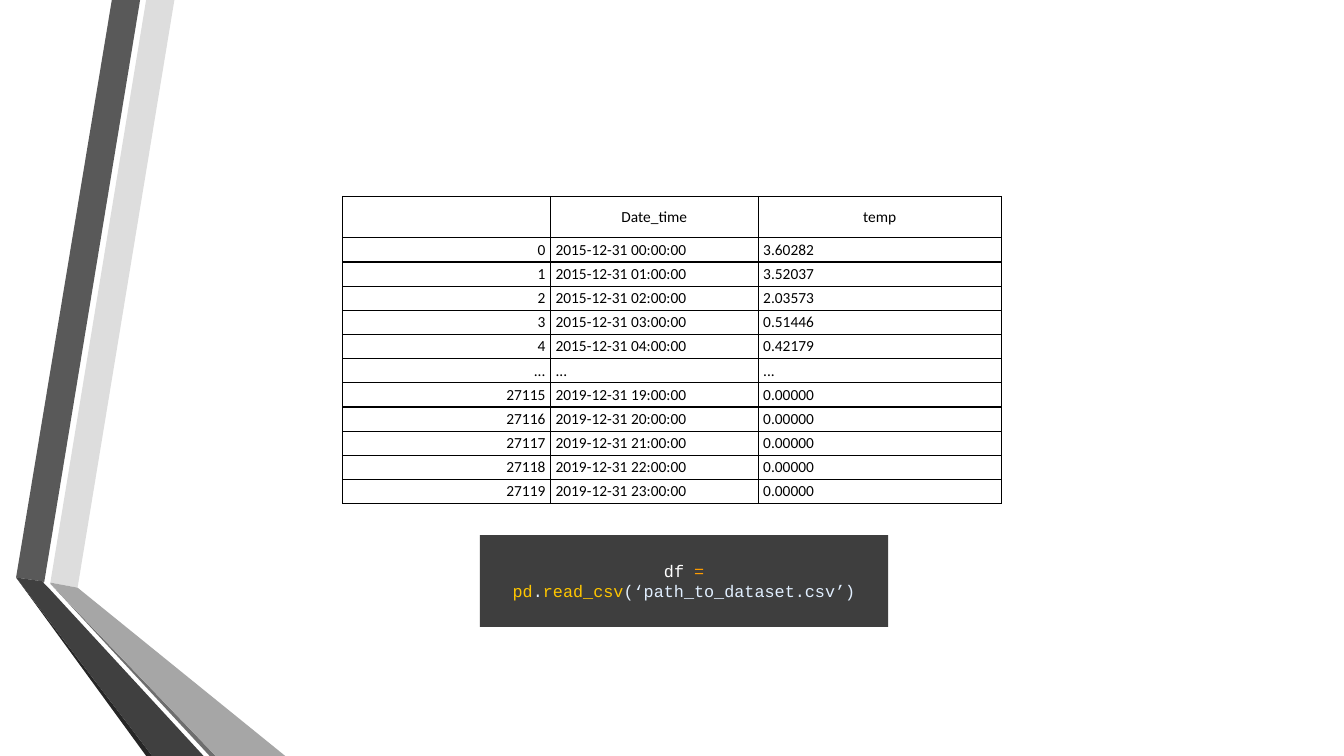
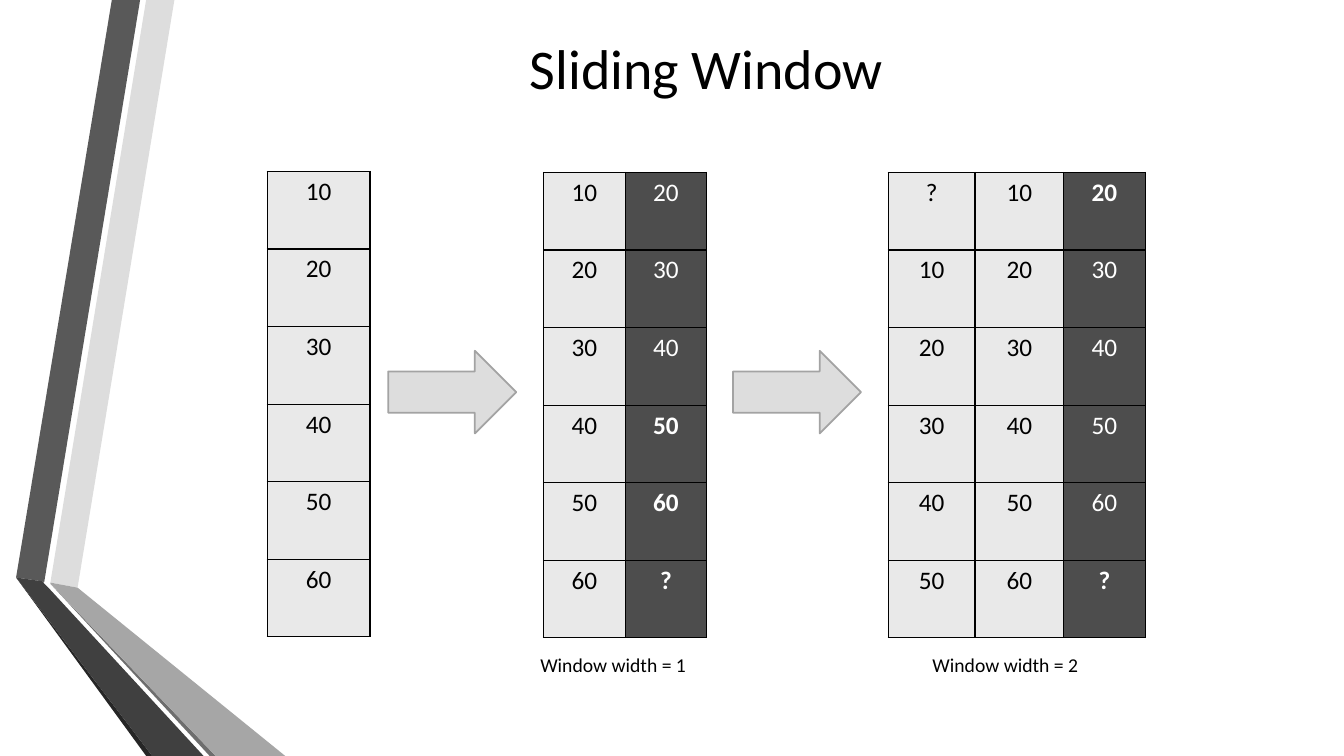
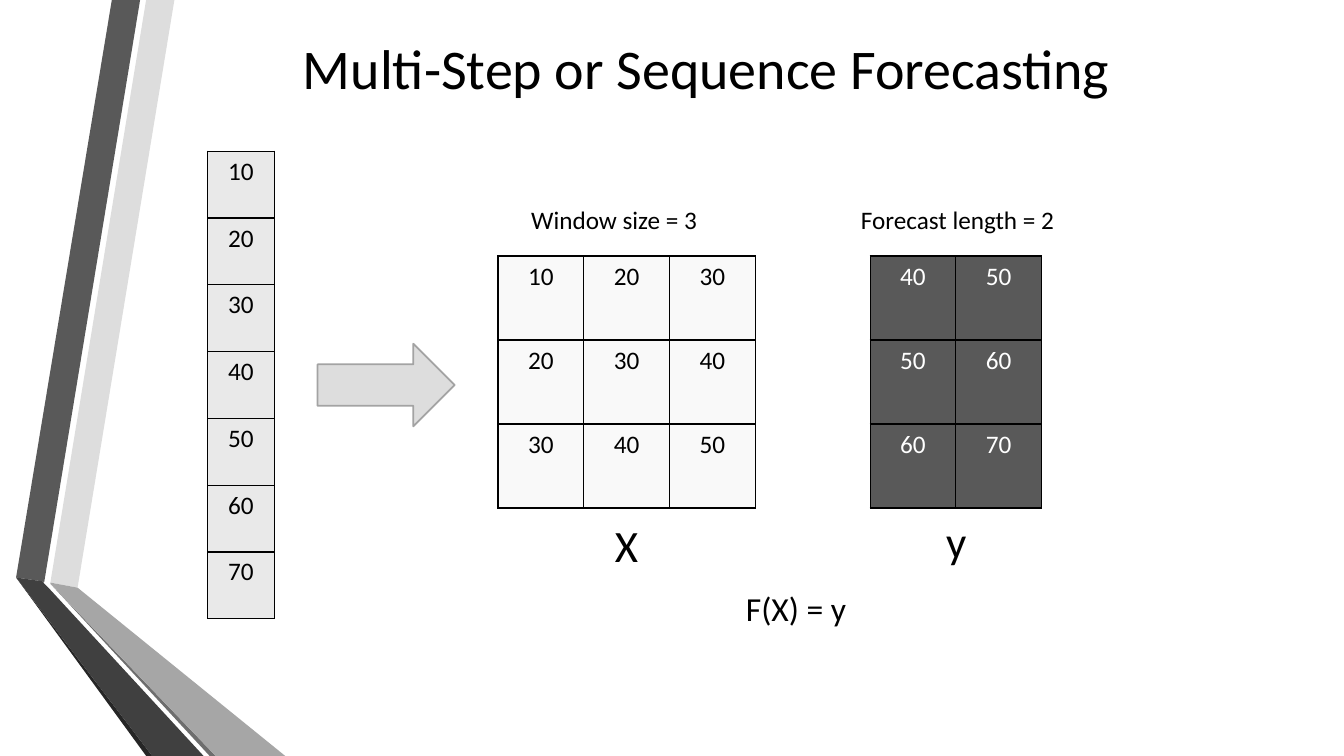
from lxml import etree
from pptx import Presentation, util as u
from pptx.dml import color
from pptx.enum import shapes, text
from pptx.oxml import ns

HUES = {
    "black": "000000", "white": "FFFFFF", "pale": "E9E9E9", "mist": "F9F9F9",
    "deep": "4D4D4D", "slate": "595959", "light": "DDDDDD", "edge": "A3A3A3",
    "ink": "262626", "shade": "6E6E6E", "ash": "A6A6A6", "coal": "404040",
    "panel": "3E3E3E", "orange": "FF9D00", "gold": "FFC600", "ice": "E1EFFF",
}
BANDS = [
    ("light", [(50, 578), (77, 583), (173, 0), (145, 0)]),
    ("slate", [(139, 0), (111, 0), (16, 573), (44, 577)]),
    ("ink", [(16, 573), (145, 750), (151, 750)]),
    ("shade", [(50, 579), (208, 750), (214, 750)]),
    ("ash", [(50, 579), (214, 750), (283, 750), (77, 583), (50, 578)]),
    ("coal", [(202, 750), (48, 583), (43, 578), (44, 577), (16, 573), (151, 750)]),
]
LEFT, MID, RIGHT = text.PP_ALIGN.LEFT, text.PP_ALIGN.CENTER, text.PP_ALIGN.RIGHT


class Deck:
    """Holds the shared style and the current slide."""

    def __init__(self):
        self.show = Presentation()
        self.show.slide_width = u.Inches(13.33)
        self.show.slide_height = u.Inches(7.5)

    def hue(self, name):
        return color.RGBColor.from_string(HUES[name])

    def page(self, title=None):
        self.slide = self.show.slides.add_slide(self.show.slide_layouts[6])
        for name, points in BANDS:
            pen = self.slide.shapes.build_freeform(*points[0], scale=u.Inches(0.01))
            pen.add_line_segments(points[1:], close=True)
            self.paint(pen.convert_to_shape(), name)
        if title:
            self.label(2.14, 0.16, 9.73, 1.02, title, 40, MID, text.MSO_ANCHOR.MIDDLE)

    def paint(self, shape, fill, line=None):
        shape.shadow.inherit = False
        shape.fill.solid()
        shape.fill.fore_color.rgb = self.hue(fill)
        if line:
            shape.line.color.rgb = self.hue(line)
            shape.line.width = u.Pt(1.25)
        else:
            shape.line.fill.background()

    def put(self, frame, runs, size, align=LEFT, font="Calibri", bold=False):
        para = frame.paragraphs[0]
        para.alignment = align
        for words, name in runs:
            run = para.add_run()
            run.text = words
            run.font.name = font
            run.font.size = u.Pt(size)
            run.font.bold = bold
            run.font.color.rgb = self.hue(name)

    def label(self, x, y, wide, high, words, size, align=LEFT, anchor=text.MSO_ANCHOR.TOP):
        box = self.slide.shapes.add_textbox(*map(u.Inches, (x, y, wide, high)))
        box.text_frame.word_wrap = True
        box.text_frame.vertical_anchor = anchor
        self.put(box.text_frame, [(words, "black")], size, align)

    def code(self, x, y, wide, high, runs):
        box = self.slide.shapes.add_shape(
            shapes.MSO_SHAPE.RECTANGLE, *map(u.Inches, (x, y, wide, high)))
        self.paint(box, "panel")
        box.text_frame.word_wrap = True
        box.text_frame.vertical_anchor = text.MSO_ANCHOR.MIDDLE
        self.put(box.text_frame, runs, 12, MID, "Courier New")

    def arrow(self, x, y, wide):
        shape = self.slide.shapes.add_shape(
            shapes.MSO_SHAPE.RIGHT_ARROW, *map(u.Inches, (x, y, wide, 0.82)))
        self.paint(shape, "light", "edge")

    def frame(self, cell):
        props = cell._tc.get_or_add_tcPr()
        for side in ("a:lnL", "a:lnR", "a:lnT", "a:lnB"):
            line = etree.SubElement(props, ns.qn(side), w=str(u.Pt(1)))
            fill = etree.SubElement(line, ns.qn("a:solidFill"))
            etree.SubElement(fill, ns.qn("a:srgbClr"), val=HUES["black"])

    def table(self, x, y, cols, highs, rows):
        spot = map(u.Inches, (x, y, sum(cols), sum(highs)))
        grid = self.slide.shapes.add_table(len(rows), len(cols), *spot).table
        grid.first_row = grid.horz_banding = False
        for col, wide in zip(grid.columns, cols):
            col.width = u.Inches(wide)
        for row, high in zip(grid.rows, highs):
            row.height = u.Inches(high)
        for cell in grid.iter_cells():
            self.frame(cell)
        return grid

    def log(self, x, y, cols, head, rows):
        rows = [head] + rows
        grid = self.table(x, y, cols, [0.41] + [0.24] * (len(rows) - 1), rows)
        for r, row in enumerate(rows):
            for c, words in enumerate(row):
                cell = grid.cell(r, c)
                cell.fill.background()
                cell.vertical_anchor = text.MSO_ANCHOR.MIDDLE
                cell.margin_left = cell.margin_right = u.Inches(0.05)
                cell.margin_top = cell.margin_bottom = u.Inches(0.02)
                align = MID if r == 0 else RIGHT if c == 0 else LEFT
                if words:
                    self.put(cell.text_frame, [(words, "black")], 11, align)

    def block(self, x, y, cols, high, rows, fills, bold=()):
        grid = self.table(x, y, cols, [high / len(rows)] * len(rows), rows)
        for r, row in enumerate(rows):
            for c, (words, fill) in enumerate(zip(row, fills)):
                cell = grid.cell(r, c)
                cell.fill.solid()
                cell.fill.fore_color.rgb = self.hue(fill)
                dark = fill in ("deep", "slate")
                ink = "white" if dark else "black"
                self.put(cell.text_frame, [(words, ink)], 18, MID, bold=dark and r in bold)


def data(deck):
    deck.page()
    deck.code(4.76, 5.31, 4.05, 0.91, [
        ("df ", "white"), ("= ", "orange"), ("pd", "gold"), (".", "ice"),
        ("read_csv", "gold"), ("(‘path_to_dataset.csv’)", "ice")])
    temps = ["3.60282", "3.52037", "2.03573", "0.51446", "0.42179"]
    rows = [(str(i), f"2015-12-31 {i:02}:00:00", temp) for i, temp in enumerate(temps)]
    rows.append(("...",) * 3)
    rows += [(str(27115 + i), f"2019-12-31 {19 + i}:00:00", "0.00000") for i in range(5)]
    deck.log(3.4, 1.95, [2.06, 2.06, 2.41], ("", "Date_time", "temp"), rows)


def window(deck):
    deck.page("Sliding Window")
    nums = [str(n) for n in range(10, 70, 10)]
    past, goal = ["?"] + nums[:-1], nums[1:] + ["?"]
    deck.block(2.65, 1.7, [1.02], 4.62, list(zip(nums)), ["pale"])
    deck.block(5.39, 1.71, [0.81] * 2, 4.62, list(zip(nums, goal)),
               ["pale", "deep"], bold=(3, 4, 5))
    deck.block(8.81, 1.71, [0.86, 0.88, 0.81], 4.62, list(zip(past, nums, goal)),
               ["pale", "pale", "deep"], bold=(0, 5))
    for x in (3.85, 7.27):
        deck.arrow(x, 3.48, 1.27)
    for x, size in ((5.26, 1), (9.15, 2)):
        deck.label(x, 6.43, 1.88, 0.34, f"Window width = {size}", 14)


def steps(deck):
    deck.page("Multi-Step or Sequence Forecasting")
    nums = [str(n) for n in range(10, 80, 10)]
    deck.block(2.06, 1.5, [0.66], 4.64, list(zip(nums)), ["pale"])
    deck.arrow(3.15, 3.41, 1.36)
    deck.block(4.94, 2.54, [0.85] * 3, 2.5, [nums[i:i + 3] for i in range(3)], ["mist"] * 3)
    deck.block(8.63, 2.54, [0.85] * 2, 2.5, [nums[i + 3:i + 5] for i in range(3)], ["slate"] * 2)
    deck.label(5.39, 5.09, 1.65, 0.64, "X", 32, MID)
    deck.label(9.02, 5.05, 0.93, 0.64, "y", 32, MID)
    deck.label(7.04, 5.78, 1.71, 0.5, "F(X) = y", 24, MID)
    deck.label(8.44, 1.98, 2.56, 0.4, "Forecast length = 2", 18)
    deck.label(5.17, 1.98, 2.1, 0.4, "Window size = 3", 18)


def main():
    deck = Deck()
    for draw in (data, window, steps):
        draw(deck)
    deck.show.save("out.pptx")


if __name__ == "__main__":
    main()
